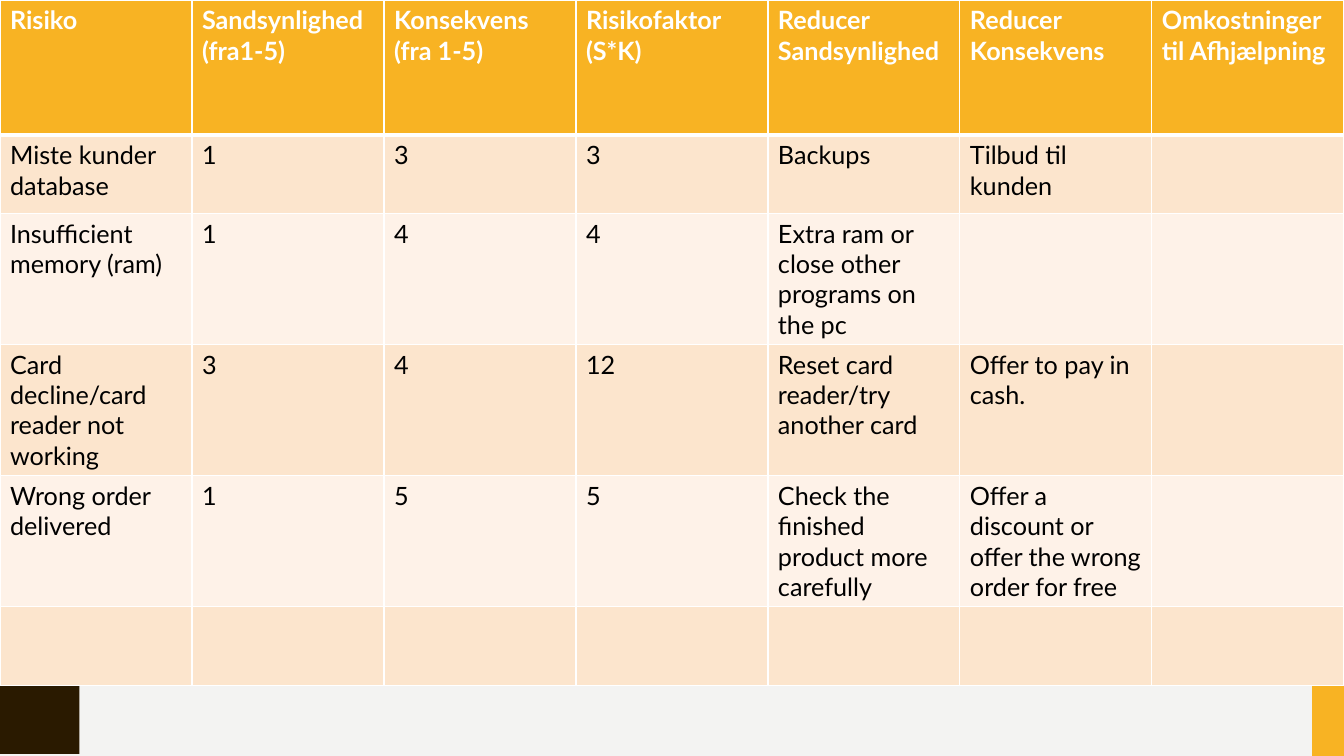
from dataclasses import dataclass

from lxml.etree import SubElement
from pptx import Presentation
from pptx.dml.color import RGBColor
from pptx.enum.shapes import MSO_SHAPE as Shape
from pptx.oxml.ns import qn
from pptx.util import Cm, Pt

COLORS = {
    "background": "F3F3F2",
    "brown": "2A1A00",
    "amber": "F8B323",
    "odd_row": "FCE5CD",
    "even_row": "FEF2E8",
    "white": "FFFFFF",
    "black": "000000",
}
FONT = "Lato"
SLIDE_W, SLIDE_H = 33.87, 19.05
HEADER_H, ROW_H = 3.4, 1.98

WAVE_COUNT = 5
WAVE_H = SLIDE_H / WAVE_COUNT
# First half of one wave as (x, y) in cm; the second half mirrors it.
HALF_WAVE = [
    (1.98, 0), (1.98, 0.18), (2.01, 0.36), (2.03, 0.51), (2.06, 0.64),
    (2.11, 0.74), (2.16, 0.85), (2.21, 0.95), (2.26, 1.06), (2.31, 1.17),
    (2.36, 1.27), (2.41, 1.4), (2.44, 1.55), (2.46, 1.73), (2.46, 1.9),
]


@dataclass
class Risk:
    name: str = ""
    probability: str = ""
    consequence: str = ""
    factor: str = ""
    reduce_probability: str = ""
    reduce_consequence: str = ""
    cost: str = ""

    def texts(self) -> list[str]:
        return [self.name, self.probability, self.consequence, self.factor,
                self.reduce_probability, self.reduce_consequence, self.cost]


HEADER = Risk("Risiko", "Sandsynlighed (fra1-5)", "Konsekvens\n(fra 1-5)",
              "Risikofaktor\n(S*K)", "Reducer Sandsynlighed",
              "Reducer Konsekvens", "Omkostninger til Afhjælpning")
RISKS = [
    Risk("Miste kunder database", "1", "3", "3", "Backups", "Tilbud til kunden"),
    Risk("Insufficient memory (ram)", "1", "4", "4",
         "Extra ram or close other programs on the pc"),
    Risk("Card decline/card reader not working", "3", "4", "12",
         "Reset card reader/try another card", "Offer to pay in cash."),
    Risk("Wrong order delivered", "1", "5", "5",
         "Check the finished product more carefully",
         "Offer a discount or offer the wrong order for free"),
    Risk(),
]


def rgb(name: str) -> RGBColor:
    return RGBColor.from_string(COLORS[name])


def paint(s, color: str) -> None:
    s.shadow.inherit = False
    s.fill.solid()
    s.fill.fore_color.rgb = rgb(color)
    s.line.fill.background()


def add_wavy_edge(shapes) -> None:
    mirrored = [(x, WAVE_H - y) for x, y in reversed(HALF_WAVE)]
    edge = [(x, y + i * WAVE_H)
            for i in range(WAVE_COUNT) for x, y in HALF_WAVE + mirrored]
    builder = shapes.build_freeform(0, 0, scale=Cm(1))
    builder.add_line_segments([*edge, (0, SLIDE_H)], close=True)
    paint(builder.convert_to_shape(), "brown")


def add_side_bar(shapes) -> None:
    width = 0.8
    s = shapes.add_shape(Shape.RECTANGLE, Cm(SLIDE_W - width), 0,
                         Cm(width), Cm(SLIDE_H))
    paint(s, "amber")


def set_borders(cell, top: float, bottom: float) -> None:
    """Draw white borders; widths in points, the sides always 1."""
    props = cell._tc.get_or_add_tcPr()
    widths = {"a:lnL": 1, "a:lnR": 1, "a:lnT": top, "a:lnB": bottom}
    for i, (tag, width) in enumerate(widths.items()):
        line = SubElement(props, qn(tag), w=str(Pt(width)))
        fill = SubElement(line, qn("a:solidFill"))
        SubElement(fill, qn("a:srgbClr"), val=COLORS["white"])
        props.insert(i, line)


def fill_cell(cell, text: str, row: int) -> None:
    is_header = row == 0
    cell.fill.solid()
    cell.fill.fore_color.rgb = rgb(
        "amber" if is_header else "odd_row" if row % 2 else "even_row")
    set_borders(cell, top=3 if row == 1 else 1, bottom=3 if is_header else 1)
    cell.text_frame.text = text
    for p in cell.text_frame.paragraphs:
        p.font.size = Pt(18)
        for r in p.runs:
            r.font.name = FONT
            r.font.size = Pt(18)
            r.font.bold = is_header
            r.font.color.rgb = rgb("white" if is_header else "black")


def add_risk_table(shapes) -> None:
    rows = [HEADER, *RISKS]
    columns = len(HEADER.texts())
    height = HEADER_H + ROW_H * len(RISKS)
    table = shapes.add_table(len(rows), columns, 0, 0,
                             Cm(SLIDE_W), Cm(height)).table
    for column in table.columns:
        column.width = Cm(SLIDE_W / columns)
    for i, risk in enumerate(rows):
        table.rows[i].height = Cm(ROW_H if i else HEADER_H)
        for j, text in enumerate(risk.texts()):
            fill_cell(table.cell(i, j), text, i)


def main() -> None:
    prs = Presentation()
    prs.slide_width, prs.slide_height = Cm(SLIDE_W), Cm(SLIDE_H)
    slide = prs.slides.add_slide(prs.slide_layouts[6])
    slide.background.fill.solid()
    slide.background.fill.fore_color.rgb = rgb("background")
    add_wavy_edge(slide.shapes)
    add_side_bar(slide.shapes)
    add_risk_table(slide.shapes)
    prs.save("out.pptx")


if __name__ == "__main__":
    main()
